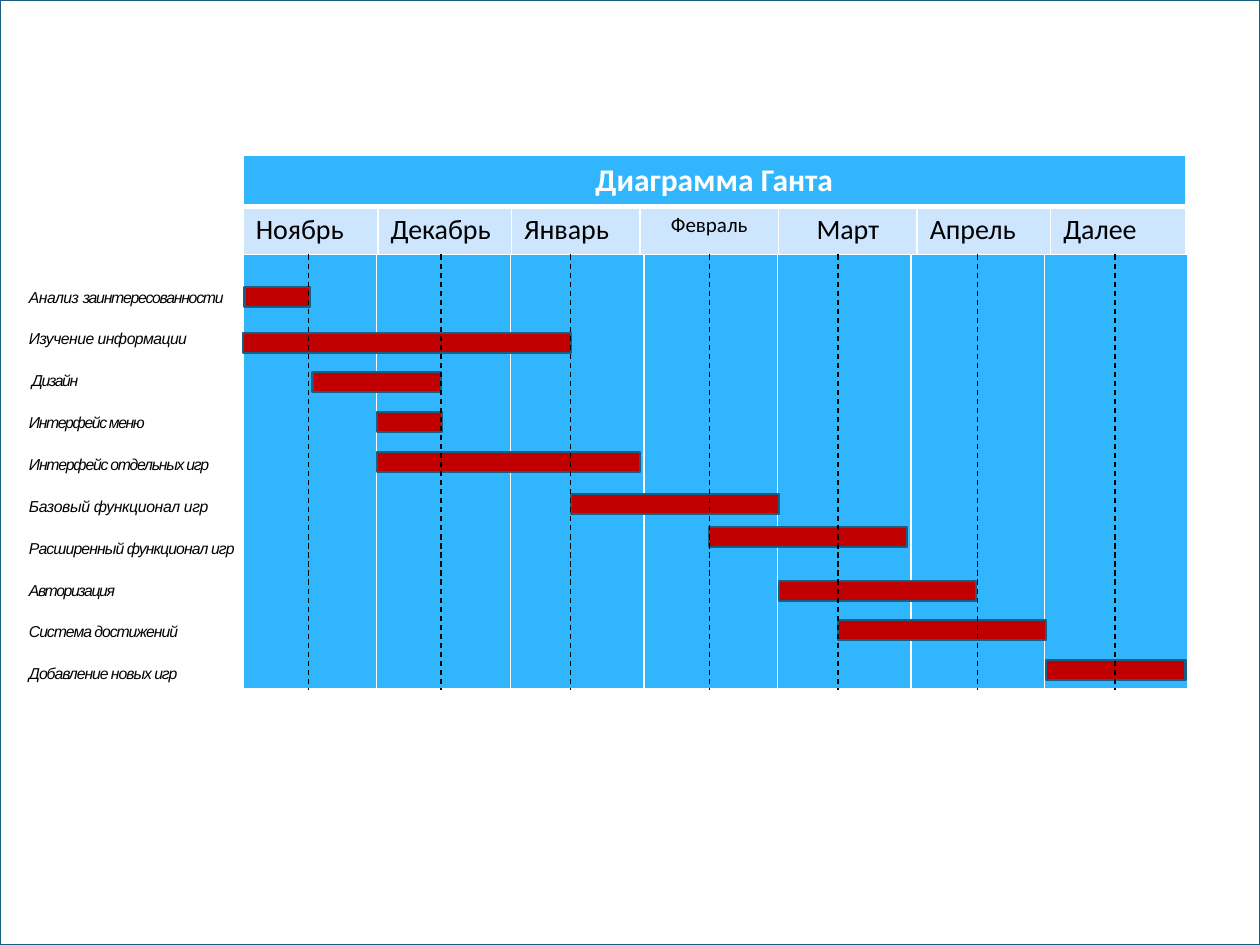
from dataclasses import dataclass

from lxml import etree
from pptx import Presentation
from pptx.dml.color import RGBColor
from pptx.enum import dml, shapes, text
from pptx.oxml import ns
from pptx.util import Inches, Pt

WHITE = RGBColor(0xFF, 0xFF, 0xFF)
BLACK = RGBColor(0x00, 0x00, 0x00)
BLUE = RGBColor(0x31, 0xB6, 0xFD)
PALE_BLUE = RGBColor(0xCE, 0xE5, 0xFE)
DARK_BLUE = RGBColor(0x19, 0x5F, 0x84)
RED = RGBColor(0xC0, 0x00, 0x00)

LEFT, ALIGN_CENTER = text.PP_ALIGN.LEFT, text.PP_ALIGN.CENTER
CHART_LEFT, CHART_WIDTH = 1.93, 7.48
GRID_TOP, GRID_HEIGHT = 2.02, 3.46
BAR_HEIGHT = 0.16


@dataclass
class Month:
    name: str
    width: float
    middle: float
    size: float = 16
    align: text.PP_ALIGN = LEFT


@dataclass
class Task:
    label: list[tuple[str, float]]
    left: float
    top: float
    width: float


MONTHS = [
    Month("Ноябрь", 1.07, 2.45),
    Month("Декабрь", 1.06, 3.5),
    Month("Январь", 1.02, 4.53),
    Month("Февраль", 1.1, 5.63, 12, ALIGN_CENTER),
    Month("Март", 1.1, 6.65, 16, ALIGN_CENTER),
    Month("Апрель", 1.06, 7.76),
    Month("Далее", 1.07, 8.85),
]
TASKS = [
    Task([("Анализ ", -0.3), ("заинтересованности", -0.7)], 1.94, 2.28, 0.52),
    Task([("Изучение информации", -0.3)], 1.93, 2.64, 2.6),
    Task([(" Дизайн", -0.8)], 2.48, 2.95, 1.02),
    Task([("Интерфейс меню", -0.8)], 2.99, 3.27, 0.52),
    Task([("Интерфейс отдельных игр", -0.7)], 2.99, 3.59, 2.09),
    Task([("Базовый функционал игр", -0.2)], 4.53, 3.92, 1.65),
    Task([("Расширенный функционал игр", -0.5)], 5.63, 4.18, 1.57),
    Task([("Авторизация", -0.8)], 6.18, 4.61, 1.57),
    Task([("Система достижений", -0.6)], 6.65, 4.92, 1.65),
    Task([("Добавление новых игр", -0.6)], 8.3, 5.24, 1.11),
]


def add_run(p, content: str, *, size: float, font: str = "Calibri", color: RGBColor = BLACK,
            bold: bool = False, italic: bool = False, spacing: float = 0) -> None:
    r = p.add_run()
    r.text = content
    r.font.name, r.font.size = font, Pt(size)
    r.font.bold, r.font.italic = bold, italic
    r.font.color.rgb = color
    if spacing:
        r._r.get_or_add_rPr().set("spc", str(round(spacing * 100)))


def add_box(s, left: float, top: float, width: float, height: float, fill: RGBColor) -> None:
    sp = s.shapes.add_shape(shapes.MSO_SHAPE.RECTANGLE, Inches(left), Inches(top),
                            Inches(width), Inches(height))
    sp.shadow.inherit = False
    sp.fill.solid()
    sp.fill.fore_color.rgb = fill
    sp.line.color.rgb = DARK_BLUE
    sp.line.width = Pt(1.25)


def format_cell(cell, fill: RGBColor, bottom: float = 1) -> None:
    tc_pr = cell._tc.get_or_add_tcPr()
    for side, width in (("L", 1), ("R", 1), ("T", 1), ("B", bottom)):
        ln = etree.SubElement(tc_pr, ns.qn(f"a:ln{side}"), w=str(Pt(width)))
        solid = etree.SubElement(ln, ns.qn("a:solidFill"))
        etree.SubElement(solid, ns.qn("a:srgbClr"), val=str(WHITE))
    cell.fill.solid()
    cell.fill.fore_color.rgb = fill


def add_grid(s, top: float, widths: list[float], heights: list[float]):
    table = s.shapes.add_table(len(heights), len(widths), Inches(CHART_LEFT), Inches(top),
                               Inches(CHART_WIDTH), Inches(sum(heights))).table
    table.first_row = table.horz_banding = False
    for column, width in zip(table.columns, widths):
        column.width = Inches(width)
    for row, height in zip(table.rows, heights):
        row.height = Inches(height)
    return table


def add_header(s) -> None:
    table = add_grid(s, 1.23, [m.width for m in MONTHS], [0.41, 0.41])
    title = table.cell(0, 0)
    title.merge(table.cell(0, len(MONTHS) - 1))
    for i, month in enumerate(MONTHS):
        format_cell(table.cell(0, i), BLUE, bottom=3)
        cell = table.cell(1, i)
        format_cell(cell, PALE_BLUE)
        p = cell.text_frame.paragraphs[0]
        p.alignment = month.align
        add_run(p, month.name, size=month.size)
    p = title.text_frame.paragraphs[0]
    p.alignment = ALIGN_CENTER
    add_run(p, "Диаграмма Ганта", size=18, color=WHITE, bold=True)


def add_body(s) -> None:
    table = add_grid(s, GRID_TOP, [1.06] * 6 + [1.14], [GRID_HEIGHT])
    for cell in table.iter_cells():
        format_cell(cell, BLUE, bottom=3)


def fill_labels(sp) -> None:
    sp.left, sp.top, sp.width, sp.height = Inches(0.23), Inches(2.25), Inches(1.7), Inches(3.13)
    tf = sp.text_frame
    tf.word_wrap = True
    tf.auto_size = text.MSO_AUTO_SIZE.NONE
    tf.vertical_anchor = text.MSO_ANCHOR.TOP
    tf.margin_left = tf.margin_right = tf.margin_bottom = 0
    tf.margin_top = Inches(0.03)
    for i, task in enumerate(TASKS):
        p = tf.add_paragraph() if i else tf.paragraphs[0]
        p.alignment = LEFT
        p.line_spacing = 1.0
        p.space_before, p.space_after = Pt(0), Pt(13.1)
        p_pr = p._p.get_or_add_pPr()
        p_pr.set("marL", "0")
        p_pr.set("indent", "0")
        etree.SubElement(p_pr, ns.qn("a:buNone"))
        for content, spacing in task.label:
            add_run(p, content, size=9, font="Arial", italic=True, spacing=spacing)


def add_middle_line(s, x: float) -> None:
    line = s.shapes.add_connector(shapes.MSO_CONNECTOR.STRAIGHT, Inches(x), Inches(GRID_TOP),
                                  Inches(x), Inches(GRID_TOP + GRID_HEIGHT))
    line.line.color.rgb = BLACK
    line.line.width = Pt(0.75)
    line.line.dash_style = dml.MSO_LINE.DASH
    etree.SubElement(line._element.spPr, ns.qn("a:effectLst"))


def main() -> None:
    prs = Presentation()
    prs.slide_width, prs.slide_height = Inches(10), Inches(7.5)
    s = prs.slides.add_slide(prs.slide_layouts[1])
    title, labels = s.placeholders[0].element, s.placeholders[1]
    tree = title.getparent()
    tree.remove(title)
    add_box(s, 0, 0, 10, 7.5, WHITE)
    add_header(s)
    add_body(s)
    fill_labels(labels)
    tree.append(labels.element)
    for task in TASKS:
        add_box(s, task.left, task.top, task.width, BAR_HEIGHT, RED)
    for month in MONTHS:
        add_middle_line(s, month.middle)
    prs.save("out.pptx")


if __name__ == "__main__":
    main()
